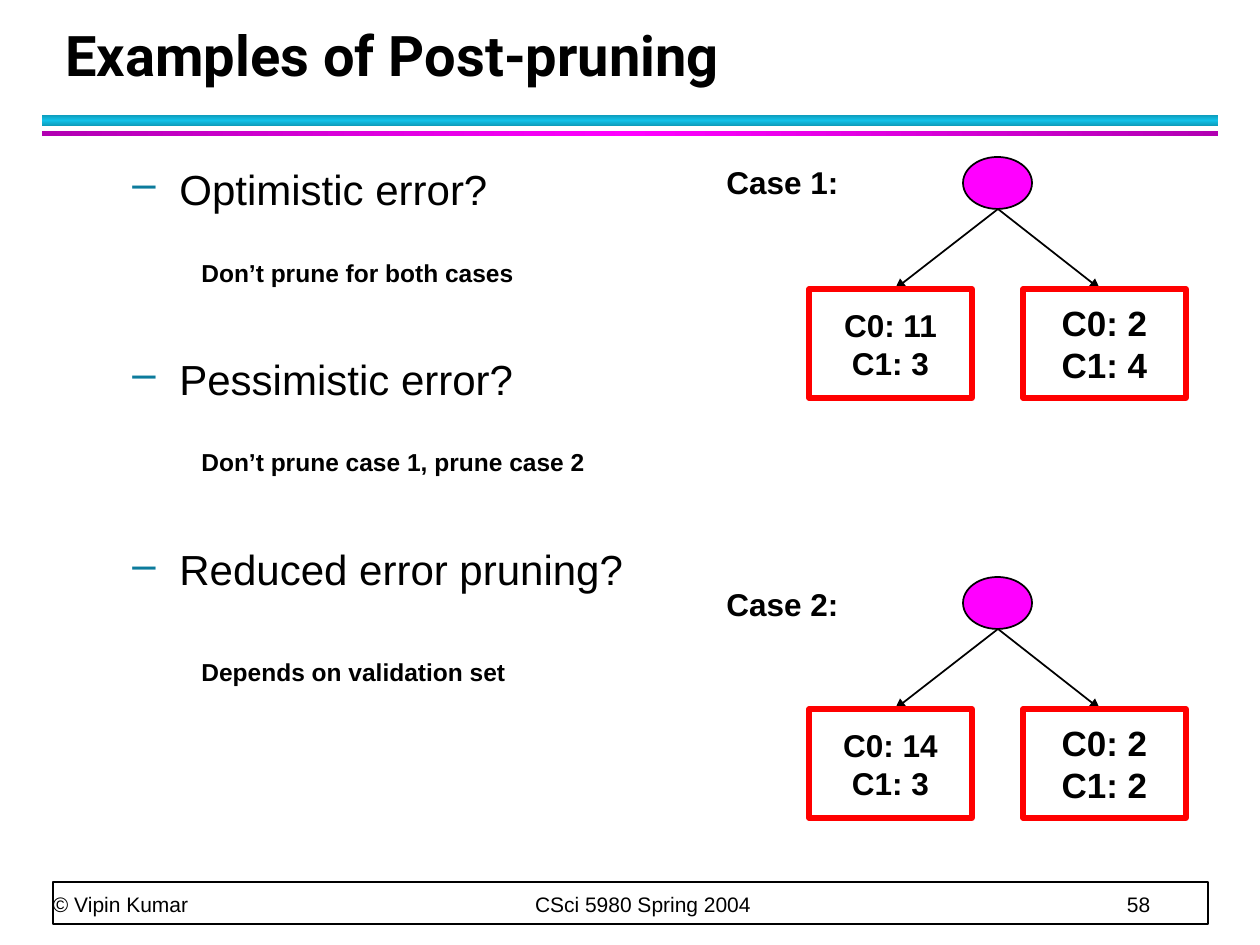
from copy import deepcopy

from pptx import Presentation
from pptx.dml.color import RGBColor
from pptx.enum.shapes import MSO_CONNECTOR as Link, MSO_SHAPE as Kind
from pptx.enum.text import MSO_ANCHOR as Anchor, PP_ALIGN as Align
from pptx.oxml.ns import qn
from pptx.oxml.xmlchemy import OxmlElement as Node
from pptx.util import Emu, Pt


def px(n):
    return Emu(round(n * 914400 / 126))


def rgb(code):
    return RGBColor.from_string(code)


class Deck:
    ink, font, head = "000000", "Arial", "Roboto"
    red, pink, dash = "FF0000", "FF00FF", "0C7B9C"

    def __init__(self):
        self.prs = Presentation()
        self.prs.slide_width, self.prs.slide_height = px(1260), px(945)
        self.slide = self.prs.slides.add_slide(self.prs.slide_layouts[6])
        self.shapes = self.slide.shapes

    def shape(self, kind, box, fill=None, line=None, width=1):
        item = self.shapes.add_shape(kind, *map(px, box))
        item.shadow.inherit = False
        if fill:
            item.fill.solid()
            item.fill.fore_color.rgb = rgb(fill)
        else:
            item.fill.background()
        if line:
            item.line.color.rgb = rgb(line)
            item.line.width = Pt(width)
        else:
            item.line.fill.background()
        return item

    def band(self, box, edge, mid, angle):
        item = self.shape(Kind.RECTANGLE, box)
        item.fill.gradient()
        item.fill.gradient_angle = angle
        stops = item._element.spPr.find(qn("a:gradFill")).find(qn("a:gsLst"))
        stops.insert(1, deepcopy(stops[0]))
        for stop, pos, color in zip(item.fill.gradient_stops, (0, 0.5, 1), (edge, mid, edge)):
            stop.position = pos
            stop.color.rgb = rgb(color)

    def label(self, frame, text, size, bold=False, font=None):
        frame.text = text
        for para in frame.paragraphs:
            for run in para.runs:
                run.font.size, run.font.bold = Pt(size), bold
                run.font.name = font or self.font
                run.font.color.rgb = rgb(self.ink)

    def text(self, box, text, size, bold=False, font=None, anchor=Anchor.TOP):
        frame = self.shapes.add_textbox(*map(px, box)).text_frame
        frame.word_wrap = True
        frame.vertical_anchor = anchor
        self.label(frame, text, size, bold, font)
        return frame

    def bullet(self, para):
        props = para._p.get_or_add_pPr()
        props.set("marL", str(px(110)))
        props.set("indent", str(px(-47)))
        tint, color, mark = Node("a:buClr"), Node("a:srgbClr"), Node("a:buChar")
        color.set("val", self.dash)
        tint.append(color)
        mark.set("char", "–")
        props.extend([tint, mark])

    def tabs(self, para, stops):
        row = Node("a:tabLst")
        for stop in stops:
            tab = Node("a:tab")
            tab.set("pos", str(px(stop)))
            tab.set("algn", "l")
            row.append(tab)
        para._p.get_or_add_pPr().append(row)

    def arrow(self, x1, y1, x2, y2):
        item = self.shapes.add_connector(Link.STRAIGHT, *map(px, (x1, y1, x2, y2)))
        item.line.color.rgb = rgb(self.ink)
        item.line.width = Pt(1)
        tip = Node("a:tailEnd")
        tip.set("type", "triangle")
        item.line._get_or_add_ln().append(tip)
        item._element.spPr.append(Node("a:effectLst"))

    def leaf(self, x, y, text, size):
        item = self.shape(Kind.RECTANGLE, (x, y, 163, 109), line=self.red, width=3)
        frame = item.text_frame
        frame.word_wrap = False
        frame.vertical_anchor = Anchor.MIDDLE
        self.label(frame, text, size, bold=True)
        for para in frame.paragraphs:
            para.alignment = Align.CENTER

    def tree(self, y, left, right):
        self.shape(Kind.OVAL, (963, y, 69, 52), self.pink, self.ink)
        for x in (895, 1100):
            self.arrow(998, y + 52, x, y + 132)
        self.leaf(809, y + 132, left, 18)
        self.leaf(1023, y + 132, right, 20)


def main():
    deck = Deck()

    # Title and bands
    deck.band((42, 115, 1176, 11), "0E9BBA", "12C2E9", 90)
    deck.band((42, 131, 1176, 5), "B200B2", "FF00FF", 0)
    title = deck.text((53, 21, 1142, 73), "Examples of Post-pruning", 32, True,
                      deck.head, Anchor.BOTTOM)
    title.paragraphs[0].line_spacing = Pt(36)

    # Footer
    deck.shape(Kind.RECTANGLE, (53, 882, 1155, 42), "FFFFFF", deck.ink)
    foot = deck.text((53, 847, 1153, 70), "© Vipin Kumar\tCSci 5980 Spring 2004\t58",
                     12, anchor=Anchor.BOTTOM)
    foot.margin_left = foot.margin_right = foot.margin_top = foot.margin_bottom = 0
    foot.paragraphs[0].line_spacing = Pt(20)
    deck.tabs(foot.paragraphs[0], (482, 1074))

    # Questions
    asks = deck.text((57, 157, 636, 714),
                     "Optimistic error?\nPessimistic error?\nReduced error pruning?", 24)
    for para in asks.paragraphs:
        para.space_before, para.space_after = Pt(3), Pt(77)
        deck.bullet(para)

    # Answers
    for y, text in ((252, "Don’t prune for both cases"),
                    (441, "Don’t prune case 1, prune case 2"),
                    (651, "Depends on validation set")):
        deck.text((189, y, 451, 43), text, 14, bold=True)

    # Cases
    for y, top, name, left, right in (
            (157, 157, "Case 1:", "C0: 11\nC1: 3", "C0: 2\nC1: 4"),
            (577, 579, "Case 2:", "C0: 14\nC1: 3", "C0: 2\nC1: 2")):
        deck.tree(y, left, right)
        deck.text((714, top, 168, 50), name, 18, bold=True)

    deck.prs.save("out.pptx")


if __name__ == "__main__":
    main()
